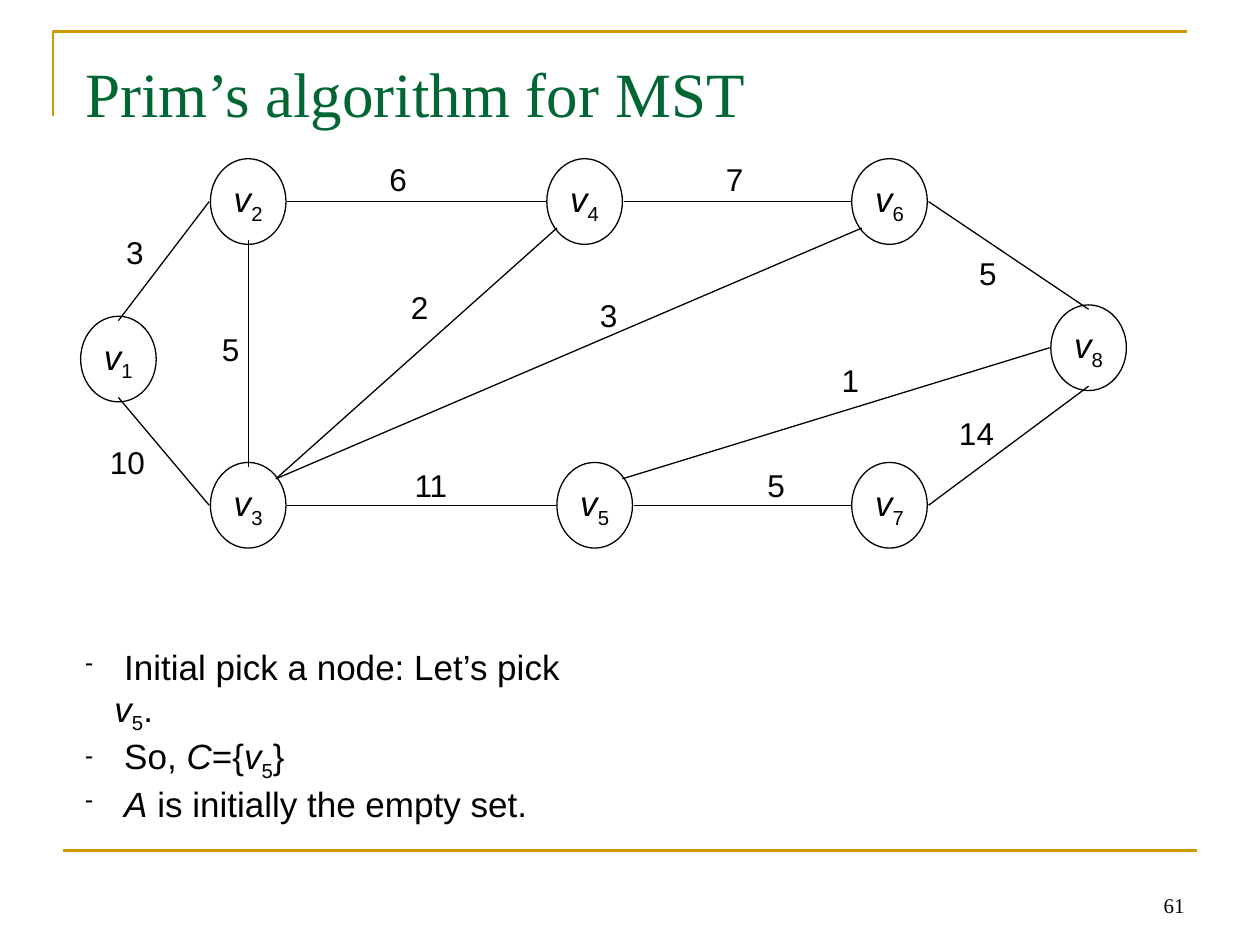
from lxml import etree
from pptx import Presentation
from pptx.dml.color import RGBColor
from pptx.enum.shapes import MSO_CONNECTOR, MSO_SHAPE
from pptx.enum.text import MSO_ANCHOR, PP_ALIGN
from pptx.oxml.ns import qn
from pptx.util import Inches, Pt

STRAIGHT, OVAL = MSO_CONNECTOR.STRAIGHT, MSO_SHAPE.OVAL
LEFT, CENTER, RIGHT = PP_ALIGN.LEFT, PP_ALIGN.CENTER, PP_ALIGN.RIGHT
TOP, MIDDLE, BOTTOM = MSO_ANCHOR.TOP, MSO_ANCHOR.MIDDLE, MSO_ANCHOR.BOTTOM

COLORS = {"ink": "000000", "title": "006633", "rule": "CC9900"}
COLUMNS, ROWS = 100, 75
NODE_WIDTH, NODE_HEIGHT = 6, 6.8

NODES = {
    "1": (9.4, 28.5), "2": (19.7, 16), "3": (19.7, 40.1), "4": (46.4, 16),
    "5": (47.2, 40.1), "6": (70.6, 16), "7": (70.6, 40.1), "8": (86.4, 27.6),
}
PORTS = {
    "top": (0, -3.05), "bottom": (0, 3.05), "left": (-3.1, 0), "right": (3.1, 0),
    "top right": (2.2, -2.1), "bottom left": (-2.2, 2.1),
}
EDGES = [
    ("1", "top", "2", "left", "3", (10.7, 20)),
    ("1", "bottom", "3", "left", "10", (10.1, 36.7)),
    ("2", "bottom", "3", "top", "5", (18.3, 27.7)),
    ("2", "right", "4", "left", "6", (31.6, 14.2)),
    ("4", "right", "6", "left", "7", (58.3, 14.2)),
    ("6", "right", "8", "top", "5", (78.4, 21.7)),
    ("8", "bottom", "7", "right", "14", (77.5, 34.4)),
    ("7", "left", "5", "right", "5", (61.6, 38.5)),
    ("5", "left", "3", "right", "11", (34.2, 38.5)),
    ("5", "top right", "8", "left", "1", (67.5, 30.2)),
    ("3", "top right", "4", "bottom left", "2", (33.3, 24.4)),
    ("3", "top right", "6", "bottom left", "3", (48.3, 25)),
]
STEPS = [
    [(" Initial pick a node: Let’s pick ", ""), ("v", "italic"), ("5", "sub"), (".", "")],
    [(" So, ", ""), ("C", "italic"), ("={", ""), ("v", "italic"), ("5", "sub"), ("}", "")],
    [(" ", ""), ("A", "italic"), (" is initially the empty set.", "")],
]


def write(frame, paragraphs, size=20, font="Arial", color="ink", align=LEFT,
          anchor=TOP, wrap=True, bullet=None):
    frame.word_wrap = wrap
    frame.vertical_anchor = anchor
    for index, parts in enumerate(paragraphs):
        paragraph = frame.add_paragraph() if index else frame.paragraphs[0]
        paragraph.alignment = align
        if bullet:
            properties = paragraph._p.get_or_add_pPr()
            properties.set("marL", str(Inches(0.23)))
            properties.set("indent", str(-Inches(0.23)))
            etree.SubElement(properties, qn("a:buSzPct")).set("val", "65000")
            etree.SubElement(properties, qn("a:buChar")).set("char", bullet)
        for text, style in parts:
            run = paragraph.add_run()
            run.text = text
            run.font.name = font
            run.font.size = Pt(size)
            run.font.italic = style == "italic"
            run.font.color.rgb = RGBColor.from_string(COLORS[color])
            if style == "sub":
                run._r.get_or_add_rPr().set("baseline", "-25000")


class GraphSlide:
    def __init__(self, deck):
        self.slide = deck.slides.add_slide(deck.slide_layouts[6])
        self.column = deck.slide_width / COLUMNS
        self.row = deck.slide_height / ROWS

    def place(self, *lengths):
        return [round(length * (self.row if index % 2 else self.column))
                for index, length in enumerate(lengths)]

    def stroke(self, item, color, width):
        item.line.color.rgb = RGBColor.from_string(COLORS[color])
        item.line.width = Pt(width)

    def text(self, box, paragraphs, **style):
        frame = self.slide.shapes.add_textbox(*self.place(*box)).text_frame
        write(frame, paragraphs, **style)

    def line(self, start, end, color="ink", width=0.75):
        link = self.slide.shapes.add_connector(STRAIGHT, *self.place(*start, *end))
        self.stroke(link, color, width)
        etree.SubElement(link._element.spPr, qn("a:effectLst"))

    def corner(self, points, color, width):
        start, *others = [self.place(*point) for point in points]
        builder = self.slide.shapes.build_freeform(*start)
        builder.add_line_segments(others, close=False)
        bracket = builder.convert_to_shape()
        bracket.shadow.inherit = False
        bracket.fill.background()
        self.stroke(bracket, color, width)

    def node(self, number, center):
        x, y = center
        box = self.place(x - NODE_WIDTH / 2, y - NODE_HEIGHT / 2, NODE_WIDTH, NODE_HEIGHT)
        vertex = self.slide.shapes.add_shape(OVAL, *box)
        vertex.shadow.inherit = False
        vertex.fill.background()
        self.stroke(vertex, "ink", 0.75)
        write(vertex.text_frame, [[("v", "italic"), (number, "sub")]],
              align=CENTER, anchor=MIDDLE, wrap=False)

    def edge(self, source, exit_port, target, entry_port):
        ends = [[base + shift for base, shift in zip(NODES[node], PORTS[port])]
                for node, port in ((source, exit_port), (target, entry_port))]
        self.line(*ends)

    def weight(self, value, center):
        x, y = center
        width, height = 2 + 1.4 * len(value), 4
        self.text((x - width / 2, y - height / 2, width, height), [[(value, "")]],
                  size=18, align=CENTER, wrap=False)


def main():
    deck = Presentation()
    deck.slide_width, deck.slide_height = Inches(10), Inches(7.5)
    graph = GraphSlide(deck)
    graph.corner([(4.2, 9.2), (4.2, 2.5), (94.2, 2.5)], "rule", 1.5)
    graph.line((5, 67.5), (95, 67.5), "rule", 1.5)
    graph.text((71.7, 68.3, 23.3, 5), [[("61", "")]], size=12,
               font="Times New Roman", align=RIGHT, anchor=BOTTOM)
    graph.text((5.8, 3.8, 90, 12), [[("Prim’s algorithm for MST", "")]], size=36,
               font="Times New Roman", color="title")
    for number, center in NODES.items():
        graph.node(number, center)
    for *ends, _, _ in EDGES:
        graph.edge(*ends)
    for *_, value, center in EDGES:
        graph.weight(value, center)
    graph.text((5.8, 50.7, 41.8, 11.9), STEPS, bullet="-")
    deck.save("out.pptx")


if __name__ == "__main__":
    main()
